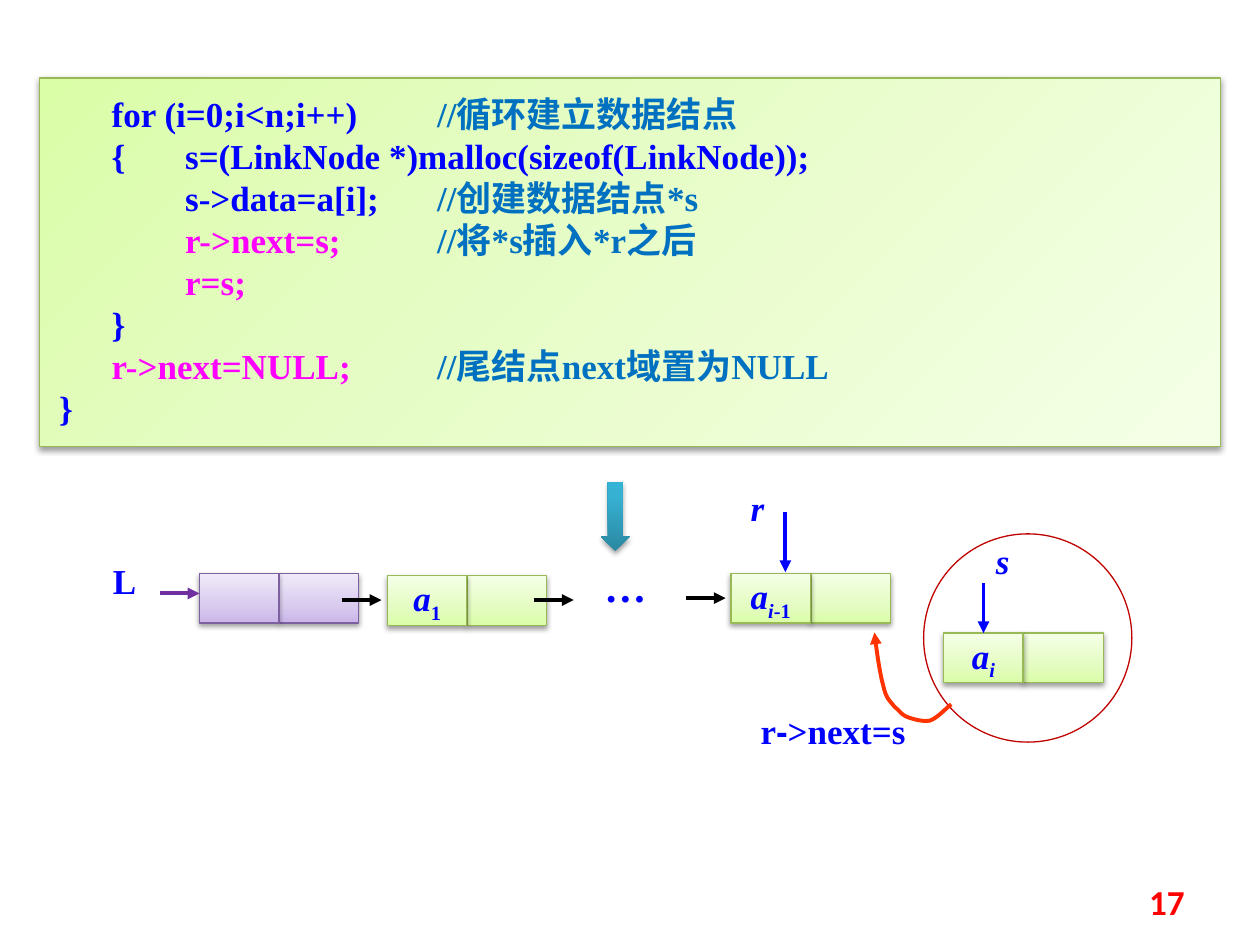
import pptx
import pptx.dml.color
import pptx.enum.shapes
import pptx.enum.text
import pptx.oxml
import pptx.oxml.ns
import pptx.util
from dataclasses import dataclass
from typing import NamedTuple, Optional

Pt = pptx.util.Pt
Preset = pptx.enum.shapes.MSO_SHAPE
Align = pptx.enum.text.PP_ALIGN
Anchor = pptx.enum.text.MSO_ANCHOR
NS = pptx.oxml.ns.nsdecls("a")


@dataclass(frozen=True)
class Theme:
    serif: str = "Times New Roman"
    sans: str = "Arial"
    number_font: str = "Calibri"
    body: int = 20
    dots: int = 24
    code: str = "0000FF"
    comment: str = "0070C0"
    key: str = "FF00FF"
    page: str = "FF0000"
    ring: str = "C00000"
    insert: str = "FF3300"
    head_arrow: str = "7030A0"
    link: str = "000000"
    green_edge: str = "98B955"
    purple_edge: str = "7D60A0"
    green: tuple = ((0, "DAFDA7"), (35, "E4FCC2"), (100, "F5FFE7"))
    purple: tuple = ((0, "C9B5E8"), (35, "D8CBEE"), (100, "F0EAF9"))
    teal: tuple = ((0, "2A88A2"), (80, "37B1D2"), (100, "34B4D6"))


THEME = Theme()


class Box(NamedTuple):
    left: float
    top: float
    width: float
    height: float


class Run(NamedTuple):
    text: str
    color: str = THEME.code
    size: int = THEME.body
    font: str = THEME.serif
    italic: bool = False
    subscript: bool = False


class Node(NamedTuple):
    left: float
    top: float
    label: tuple = ()
    stops: tuple = THEME.green
    edge: str = THEME.green_edge


class Arrow(NamedTuple):
    start: tuple
    end: tuple
    color: str


class Label(NamedTuple):
    box: Box
    runs: tuple


CODE_TABS = (72, 216)
CODE = (
    (Run("      for (i=0;i<n;i++)\t"), Run("//循环建立数据结点", THEME.comment)),
    (Run("      {\ts=(LinkNode *)malloc(sizeof(LinkNode));"),),
    (Run("\ts->data=a[i];\t"), Run("//创建数据结点*s", THEME.comment)),
    (Run("\tr->next=s;\t", THEME.key), Run("//将*s插入*r之后", THEME.comment)),
    (Run("\tr=s;", THEME.key),),
    (Run("      }"),),
    (Run("      r->next=NULL;\t", THEME.key), Run("//尾结点next域置为NULL", THEME.comment)),
    (Run("}"),),
)

A = Run("a", italic=True)
SUB_I = Run("i", italic=True, subscript=True)
CELL_W, CELL_H, CELL_STEP = 45.4, 28.4, 45.7
HEAD = Node(114, 327.7, (), THEME.purple, THEME.purple_edge)
FIRST = Node(221.4, 329, (A, Run("1", subscript=True)))
TAIL = Node(417.7, 327.7, (A, SUB_I, Run("-1", subscript=True)))
NEW = Node(539.3, 361.8, (A, SUB_I))

ARROWS = (
    Arrow((91.4, 339.1), (114, 339.1), THEME.head_arrow),
    Arrow((195.3, 342.9), (218, 342.9), THEME.link),
    Arrow((305, 342.9), (327.8, 342.9), THEME.link),
    Arrow((391.9, 341.8), (414.6, 341.8), THEME.link),
    Arrow((448.8, 292.5), (448.8, 326.9), THEME.code),
)
LABELS = (
    Label(Box(57.4, 316.1, 39.6, 31), (Run("L"),)),
    Label(Box(421.9, 274.4, 45.4, 31), (Run("r", italic=True),)),
    Label(Box(562, 304.9, 45.4, 31), (Run("s", italic=True),)),
    Label(Box(338.2, 316.8, 39.6, 36), (Run("…", size=THEME.dots),)),
    Label(Box(427.5, 401.8, 101.5, 31.7),
          (Run("r"), Run("-", font=THEME.sans), Run(">next=s"))),
)
# Bezier pieces of the insertion arrow: two controls and an end point each
INSERT_START = (543.6, 402.5)
INSERT_CURVES = (
    ((541.4, 403.9), (535.7, 410.4), (531.4, 411.8)),
    ((527.8, 412.6), (522, 411.1), (518.4, 409.7)),
    ((514.8, 408.2), (514.8, 406.8), (511.2, 403.9)),
    ((508.3, 400.3), (506.2, 398.9), (504.7, 391.7)),
    ((502.6, 384.5), (500.4, 367.9), (499.7, 361.4)),
)


def rgb(value: str):
    return pptx.dml.color.RGBColor.from_string(value)


def add_runs(paragraph, runs: tuple) -> None:
    for item in runs:
        run = paragraph.add_run()
        run.text = item.text
        run.font.name = item.font
        run.font.size = Pt(item.size)
        run.font.bold = True
        run.font.italic = item.italic
        run.font.color.rgb = rgb(item.color)
        if item.subscript:
            run.font._element.set("baseline", "-25000")


def add_panel(slide, preset, box: Box, stops: tuple = (), angle: int = 270,
              edge: Optional[str] = None):
    panel = slide.shapes.add_shape(preset, *map(Pt, box))
    panel.shadow.inherit = False
    panel.fill.background()
    if edge:
        panel.line.color.rgb = rgb(edge)
        panel.line.width = Pt(0.75)
    else:
        panel.line.fill.background()
    if stops:
        properties = panel._element.spPr
        marks = "".join(f'<a:gs pos="{pos * 1000}"><a:srgbClr val="{color}"/></a:gs>'
                        for pos, color in stops)
        gradient = pptx.oxml.parse_xml(
            f'<a:gradFill {NS} rotWithShape="1"><a:gsLst>{marks}</a:gsLst>'
            f'<a:lin ang="{angle * 60000}" scaled="0"/></a:gradFill>')
        no_fill = properties.find(pptx.oxml.ns.qn("a:noFill"))
        properties.replace(no_fill, gradient)
        properties.find(pptx.oxml.ns.qn("a:effectLst")).append(pptx.oxml.parse_xml(
            f'<a:outerShdw {NS} blurRad="{Pt(3.1)}" dist="{Pt(1.6)}" dir="5400000" '
            'rotWithShape="0"><a:srgbClr val="000000"><a:alpha val="38000"/>'
            '</a:srgbClr></a:outerShdw>'))
    return panel


def add_node(slide, node: Node):
    """Draw the pointer cell, then the data cell, which is returned."""
    for offset in (CELL_STEP, 0):
        cell = add_panel(slide, Preset.RECTANGLE,
                         Box(node.left + offset, node.top, CELL_W, CELL_H),
                         node.stops, edge=node.edge)
    if node.label:
        cell.text_frame.word_wrap = False
        cell.text_frame.vertical_anchor = Anchor.MIDDLE
        paragraph = cell.text_frame.paragraphs[0]
        paragraph.alignment = Align.CENTER
        add_runs(paragraph, node.label)
    return cell


def style_arrow(line, color: str) -> None:
    line.line.color.rgb = rgb(color)
    line.line.width = Pt(2.25)
    line.line._get_or_add_ln().append(
        pptx.oxml.parse_xml(f'<a:tailEnd {NS} type="triangle"/>'))


def add_arrow(slide, arrow: Arrow):
    line = slide.shapes.add_connector(pptx.enum.shapes.MSO_CONNECTOR.STRAIGHT,
                                      *map(Pt, arrow.start + arrow.end))
    style_arrow(line, arrow.color)
    line._element.spPr.append(pptx.oxml.parse_xml(f"<a:effectLst {NS}/>"))
    return line


def add_label(slide, label: Label):
    frame = slide.shapes.add_textbox(*map(Pt, label.box)).text_frame
    frame.word_wrap = True
    add_runs(frame.paragraphs[0], label.runs)
    return frame


def add_insert_arrow(slide) -> None:
    points, start = [], INSERT_START
    for curve in INSERT_CURVES:
        for t in (step / 8 for step in range(1, 9)):
            weights = ((1 - t) ** 3, 3 * t * (1 - t) ** 2, 3 * t * t * (1 - t), t ** 3)
            points.append(tuple(Pt(sum(w * p[axis] for w, p in zip(weights, (start, *curve))))
                                for axis in (0, 1)))
        start = curve[-1]
    builder = slide.shapes.build_freeform(*map(Pt, INSERT_START))
    builder.add_line_segments(points, close=False)
    sweep = builder.convert_to_shape()
    sweep.shadow.inherit = False
    sweep.fill.background()
    style_arrow(sweep, THEME.insert)


def add_code(slide) -> None:
    frame = add_panel(slide, Preset.RECTANGLE, Box(22.5, 44.5, 675, 210.7),
                      THEME.green, 45, THEME.green_edge).text_frame
    frame.word_wrap = True
    frame.vertical_anchor = Anchor.TOP
    frame.margin_left = frame.margin_right = Pt(11.3)
    frame.margin_top = frame.margin_bottom = Pt(8.2)
    stops = "".join(f'<a:tab pos="{Pt(stop)}" algn="l"/>' for stop in CODE_TABS)
    for index, runs in enumerate(CODE):
        paragraph = frame.add_paragraph() if index else frame.paragraphs[0]
        paragraph.alignment = Align.LEFT
        paragraph.line_spacing = Pt(24)
        paragraph._p.get_or_add_pPr().append(
            pptx.oxml.parse_xml(f"<a:tabLst {NS}>{stops}</a:tabLst>"))
        add_runs(paragraph, runs)


def main() -> None:
    deck = pptx.Presentation()
    deck.slide_width, deck.slide_height = Pt(720), Pt(540)
    slide = deck.slides.add_slide(deck.slide_layouts[6])

    add_code(slide)
    # Linked list below the code
    add_panel(slide, Preset.DOWN_ARROW, Box(343.2, 275.6, 16.8, 39.4), THEME.teal)
    add_panel(slide, Preset.OVAL, Box(527.8, 305.1, 119, 119), edge=THEME.ring)
    for node in (HEAD, FIRST, TAIL):
        add_node(slide, node)
    new_cell = add_node(slide, NEW)
    for arrow in ARROWS:
        add_arrow(slide, arrow)
    middle = NEW.left + CELL_W / 2
    pointer = add_arrow(slide, Arrow((middle, 333.4), (middle, NEW.top), THEME.code))
    pointer.end_connect(new_cell, 0)
    add_insert_arrow(slide)
    for label in LABELS:
        add_label(slide, label)
    # Page number
    page = add_label(slide, Label(Box(516.2, 500.7, 167.8, 28.8),
                                  (Run("17", THEME.page, font=THEME.number_font),)))
    page.vertical_anchor = Anchor.MIDDLE
    page.paragraphs[0].alignment = Align.RIGHT
    deck.save("out.pptx")


if __name__ == "__main__":
    main()
